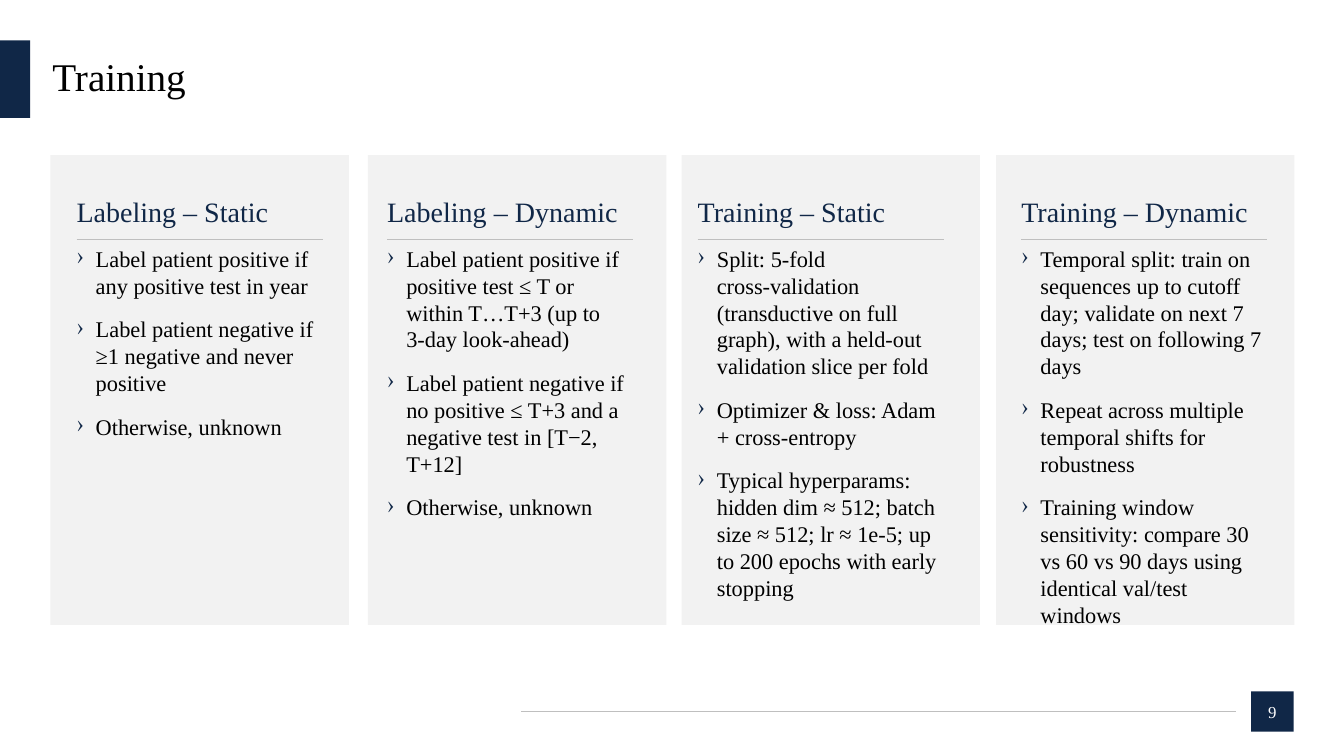
"""Build the Training slide with four labeling and training cards."""
from dataclasses import dataclass

from lxml.etree import SubElement
from pptx import Presentation
from pptx.dml.color import RGBColor
from pptx.enum.shapes import MSO_CONNECTOR, MSO_SHAPE
from pptx.enum.text import MSO_ANCHOR, PP_ALIGN
from pptx.oxml.ns import qn
from pptx.shapes.autoshape import Shape
from pptx.slide import Slide
from pptx.text.text import TextFrame, _Paragraph as Paragraph
from pptx.util import Inches, Pt

NAVY = RGBColor(0x10, 0x27, 0x47)
PANEL = RGBColor(0xF2, 0xF2, 0xF2)
RULE = RGBColor(0xBF, 0xBF, 0xBF)
BLACK = RGBColor(0, 0, 0)
WHITE = RGBColor(0xFF, 0xFF, 0xFF)
FONT = "Times New Roman"
CARD_TOP, CARD_W, CARD_H = 1.54, 2.96, 4.66
TEXT_TOP, TEXT_W, TEXT_H = 1.93, 2.44, 4.07
RULE_TOP = 2.37
INDENT = 0.19


@dataclass(frozen=True)
class Card:
    left: float
    text_left: float
    heading: str
    bullets: tuple[str, ...]


CARDS = (
    Card(0.5, 0.76, "Labeling – Static", (
        "Label patient positive if any positive test in year",
        "Label patient negative if ≥1 negative and never positive",
        "Otherwise, unknown",
    )),
    Card(3.65, 3.84, "Labeling – Dynamic", (
        "Label patient positive if positive test ≤ T or within T…T+3 (up to 3‑day look‑ahead)",
        "Label patient negative if no positive ≤ T+3 and a negative test in [T−2, T+12]",
        "Otherwise, unknown",
    )),
    Card(6.76, 6.92, "Training – Static", (
        "Split: 5‑fold cross‑validation (transductive on full graph), "
        "with a held‑out validation slice per fold",
        "Optimizer & loss: Adam + cross‑entropy",
        "Typical hyperparams: hidden dim ≈ 512; batch size ≈ 512; lr ≈ 1e‑5; "
        "up to 200 epochs with early stopping",
    )),
    Card(9.88, 10.13, "Training – Dynamic", (
        "Temporal split: train on sequences up to cutoff day; "
        "validate on next 7 days; test on following 7 days",
        "Repeat across multiple temporal shifts for robustness",
        "Training window sensitivity: compare 30 vs 60 vs 90 days "
        "using identical val/test windows",
    )),
)


def write(p: Paragraph, text: str, size: int, color: RGBColor) -> None:
    """Fill a paragraph and format its runs."""
    p.text = text
    for r in p.runs:
        r.font.name = FONT
        r.font.size = Pt(size)
        r.font.color.rgb = color


def add_bullet(p: Paragraph) -> None:
    """Give a paragraph a hanging navy bullet."""
    pPr = p._p.get_or_add_pPr()
    pPr.set("marL", str(Inches(INDENT)))
    pPr.set("indent", str(-Inches(INDENT)))
    SubElement(SubElement(pPr, qn("a:buClr")), qn("a:srgbClr"), val=str(NAVY))
    SubElement(pPr, qn("a:buChar"), char="›")


def add_rect(s: Slide, x: float, y: float, w: float, h: float, color: RGBColor) -> Shape:
    """Add a flat rectangle without an outline."""
    sp = s.shapes.add_shape(MSO_SHAPE.RECTANGLE, Inches(x), Inches(y), Inches(w), Inches(h))
    sp.shadow.inherit = False
    sp.fill.solid()
    sp.fill.fore_color.rgb = color
    sp.line.fill.background()
    return sp


def add_rule(s: Slide, x1: float, x2: float, y: float) -> None:
    """Add a thin grey horizontal line."""
    ln = s.shapes.add_connector(
        MSO_CONNECTOR.STRAIGHT, Inches(x1), Inches(y), Inches(x2), Inches(y))
    ln.line.color.rgb = RULE
    ln.line.width = Pt(0.5)
    SubElement(ln._element.spPr, qn("a:effectLst"))


def add_text(s: Slide, x: float, y: float, w: float, h: float) -> TextFrame:
    """Add a wrapping text box without margins."""
    tf = s.shapes.add_textbox(Inches(x), Inches(y), Inches(w), Inches(h)).text_frame
    tf.word_wrap = True
    tf.margin_left = tf.margin_right = tf.margin_top = tf.margin_bottom = 0
    return tf


def add_card(s: Slide, card: Card) -> None:
    """Draw a panel with its heading, bullets and rule."""
    add_rect(s, card.left, CARD_TOP, CARD_W, CARD_H, PANEL)
    tf = add_text(s, card.text_left, TEXT_TOP, TEXT_W, TEXT_H)
    write(tf.paragraphs[0], card.heading, 20, NAVY)
    for bullet in card.bullets:
        p = tf.add_paragraph()
        write(p, bullet, 16, BLACK)
    for p in tf.paragraphs:
        p.space_after = Pt(12)
    for p in tf.paragraphs[1:]:
        add_bullet(p)
    add_rule(s, card.text_left, card.text_left + TEXT_W, RULE_TOP)


def main() -> None:
    """Assemble and save the slide."""
    prs = Presentation()
    prs.slide_width, prs.slide_height = Inches(13.33), Inches(7.5)
    s = prs.slides.add_slide(prs.slide_layouts[6])

    tf = add_text(s, 0.52, 0.4, 12.31, 0.77)
    tf.vertical_anchor = MSO_ANCHOR.MIDDLE
    write(tf.paragraphs[0], "Training", 28, BLACK)
    tf.paragraphs[0].line_spacing = 0.9
    add_rect(s, 0, 0.4, 0.3, 0.77, NAVY)

    tf = add_rect(s, 12.41, 6.86, 0.42, 0.4, NAVY).text_frame
    tf.vertical_anchor = MSO_ANCHOR.MIDDLE
    write(tf.paragraphs[0], "9", 12, WHITE)
    tf.paragraphs[0].alignment = PP_ALIGN.CENTER
    add_rule(s, 5.17, 12.26, 7.06)

    for card in CARDS:
        add_card(s, card)
    prs.save("out.pptx")


if __name__ == "__main__":
    main()
